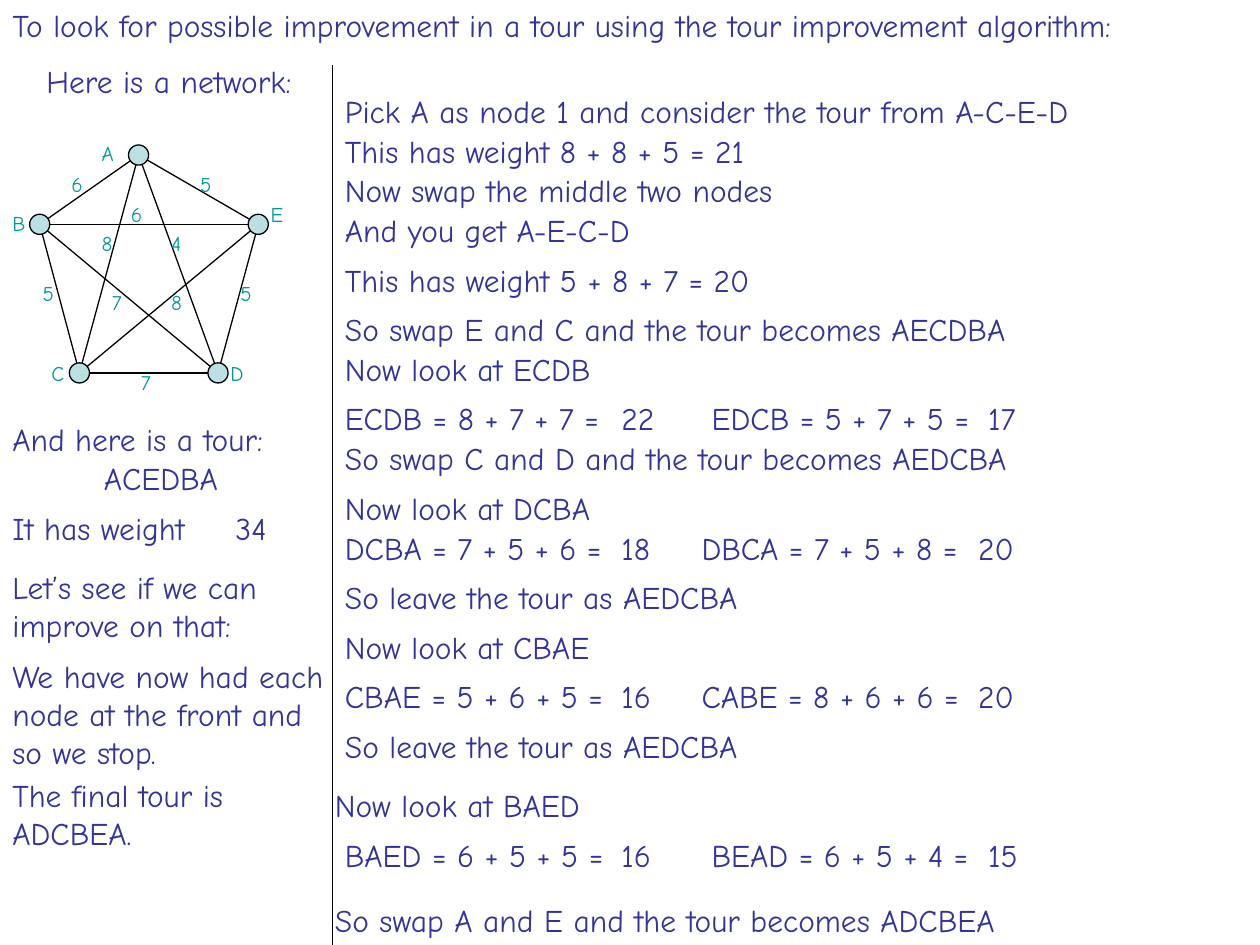
from pptx import Presentation
from pptx.dml.color import RGBColor
from pptx.enum.shapes import MSO_CONNECTOR, MSO_SHAPE
from pptx.enum.text import MSO_ANCHOR, MSO_AUTO_SIZE, PP_ALIGN
from pptx.oxml.ns import qn
from pptx.util import Pt
from lxml import etree

LEFT, CENTER = PP_ALIGN.LEFT, PP_ALIGN.CENTER
TOP, GROW = MSO_ANCHOR.TOP, MSO_AUTO_SIZE.SHAPE_TO_FIT_TEXT
STRAIGHT, OVAL = MSO_CONNECTOR.STRAIGHT, MSO_SHAPE.OVAL

NAVY = RGBColor(0x33, 0x33, 0x99)
TEAL = RGBColor(0x00, 0x99, 0x99)
PALE = RGBColor(0xBB, 0xE0, 0xE3)
BLACK = RGBColor(0, 0, 0)

BODY = {"name": "Comic Neue", "size": Pt(18), "bold": False}
SMALL = {"name": "Comic Neue", "size": Pt(12), "bold": False}
FRAME = {"word_wrap": True, "auto_size": GROW, "vertical_anchor": TOP,
         "margin_left": Pt(7.2), "margin_right": Pt(7.2),
         "margin_top": Pt(3.6), "margin_bottom": Pt(3.6)}

DOT = 11.5
UNIT = 5.67
SUM_TAB = 158
RULE_X = 190

TITLE = ("To look for possible improvement in a tour "
         "using the tour improvement algorithm:")

# node: centre, then corner of its label
NODES = {
    "A": ((79.2, 88.6), (51, 77)),
    "B": ((22.7, 128.2), (0, 116.6)),
    "C": ((45.4, 213.1), (22.3, 202.3)),
    "D": ((124.6, 213.1), (124.6, 202.3)),
    "E": ((147.6, 128.2), (147.6, 111.6)),
}

# edge, weight, corner of the weight label
EDGES = [
    ("AB", 6, (33.8, 94.3)), ("AC", 8, (51, 128.2)),
    ("AD", 4, (90.7, 128.2)), ("AE", 5, (107.3, 94.3)),
    ("BC", 5, (17.3, 157)), ("BD", 7, (56.9, 162)),
    ("BE", 6, (67.7, 111.6)), ("CD", 7, (73.4, 207.4)),
    ("CE", 8, (90.7, 162)), ("DE", 5, (130.3, 157)),
]

# left, top, width, height, text, alignment
NOTES = [
    (19.4, 31.7, 170, 28.8, "Here is a network:", LEFT),
    (0, 236.2, 196, 28.8, "And here is a tour:", LEFT),
    (0, 258.5, 190, 28.8, "ACEDBA ", CENTER),
    (0, 287.3, 196, 28.8, "It has weight", LEFT),
    (127.4, 287.3, 48, 28.8, "34", LEFT),
    (0, 321.1, 196, 50.4, "Let’s see if we can improve on that:", LEFT),
    (0, 372.2, 196, 72,
     "We have now had each node at the front and so we stop.", LEFT),
    (0, 439.9, 196, 50.4, "The final tour is ADCBEA.", LEFT),
]

# gap above in units, then left edge and text of each part
STEPS = [
    (0, (190, "Pick A as node 1 and consider the tour from A-C-E-D")),
    (4, (190, "This has weight 8 + 8 + 5 = 21")),
    (4, (190, "Now swap the middle two nodes")),
    (4, (190, "And you get A-E-C-D")),
    (5, (190, "This has weight 5 + 8 + 7 = 20")),
    (5, (190, "So swap E and C and the tour becomes AECDBA")),
    (4, (190, "Now look at ECDB")),
    (5, (190, "ECDB = 8 + 7 + 7 =\t22"), (399.6, "EDCB = 5 + 7 + 5 =\t17")),
    (4, (190, "So swap C and D and the tour becomes AEDCBA")),
    (5, (190, "Now look at DCBA")),
    (4, (190, "DCBA = 7 + 5 + 6 =\t18"), (393.8, "DBCA = 7 + 5 + 8 =\t20")),
    (5, (190, "So leave the tour as AEDCBA")),
    (5, (190, "Now look at CBAE")),
    (5, (190, "CBAE = 5 + 6 + 5 =\t16"), (393.8, "CABE = 8 + 6 + 6 =\t20")),
    (5, (190, "So leave the tour as AEDCBA")),
    (6, (184.3, "Now look at BAED")),
    (5, (190, "BAED = 6 + 5 + 5 =\t16"), (399.6, "BEAD = 6 + 5 + 4 =\t15")),
    (6.5, (184.3, "So swap A and E and the tour becomes ADCBEA")),
]


def apply(item, values):
    for key, value in values.items():
        setattr(item, key, value)


def write(shape, text, font, color, align=LEFT):
    frame = shape.text_frame
    apply(frame, FRAME)
    para = frame.paragraphs[0]
    space = Pt(font["size"].pt * 0.62)
    apply(para, {"alignment": align, "space_before": space})
    if "\t" in text:
        props = para._p.get_or_add_pPr()
        tabs = etree.SubElement(props, qn("a:tabLst"))
        etree.SubElement(tabs, qn("a:tab"), pos=str(Pt(SUM_TAB)), algn="l")
    run = para.add_run()
    run.text = text
    apply(run.font, font)
    run.font.color.rgb = color


def add_title(slide):
    title = slide.shapes.title
    apply(title, {"left": Pt(0), "top": Pt(0),
                  "width": Pt(700), "height": Pt(28.8)})
    write(title, TITLE, BODY, NAVY)


def add_text(slide, left, top, width, height, text, align=LEFT):
    box = slide.shapes.add_textbox(Pt(left), Pt(top), Pt(width), Pt(height))
    write(box, text, BODY, NAVY, align)


def add_label(slide, spot, text):
    left, top = spot
    box = slide.shapes.add_textbox(Pt(left), Pt(top), Pt(22), Pt(21.6))
    write(box, text, SMALL, TEAL)


def add_line(slide, start, end):
    ends = [Pt(n) for n in (*start, *end)]
    line = slide.shapes.add_connector(STRAIGHT, *ends)
    line.line.color.rgb = BLACK
    line.line.width = Pt(0.75)
    etree.SubElement(line._element.spPr, qn("a:effectLst"))


def add_node(slide, center):
    left, top = (Pt(n - DOT / 2) for n in center)
    dot = slide.shapes.add_shape(OVAL, left, top, Pt(DOT), Pt(DOT))
    dot.shadow.inherit = False
    dot.fill.solid()
    dot.fill.fore_color.rgb = PALE
    dot.line.color.rgb = BLACK
    dot.line.width = Pt(0.75)


def add_graph(slide):
    for (start, end), weight, spot in EDGES:
        add_line(slide, NODES[start][0], NODES[end][0])
        add_label(slide, spot, str(weight))
    for name, (center, spot) in NODES.items():
        add_node(slide, center)
        add_label(slide, spot, name)


def add_steps(slide):
    top = 49
    for gap, *parts in STEPS:
        top += gap * UNIT
        width = 497 if len(parts) == 1 else 220
        for left, text in parts:
            add_text(slide, left, top, width, 28.8, text)


def main():
    deck = Presentation()
    apply(deck, {"slide_width": Pt(720), "slide_height": Pt(540)})
    slide = deck.slides.add_slide(deck.slide_layouts.get_by_name("Title Only"))
    add_title(slide)
    add_graph(slide)
    add_steps(slide)
    add_line(slide, (RULE_X, 37.4), (RULE_X, 540))
    for note in NOTES:
        add_text(slide, *note)
    deck.save("out.pptx")


if __name__ == "__main__":
    main()
